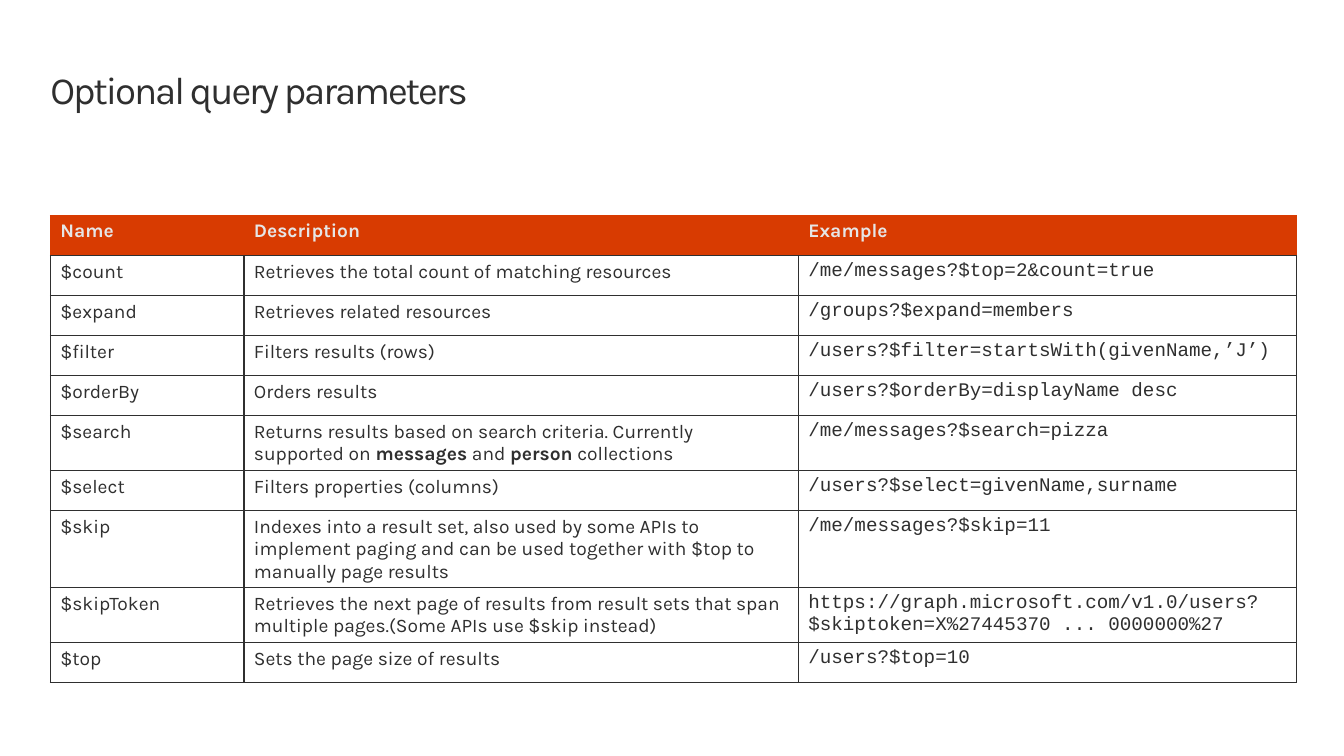
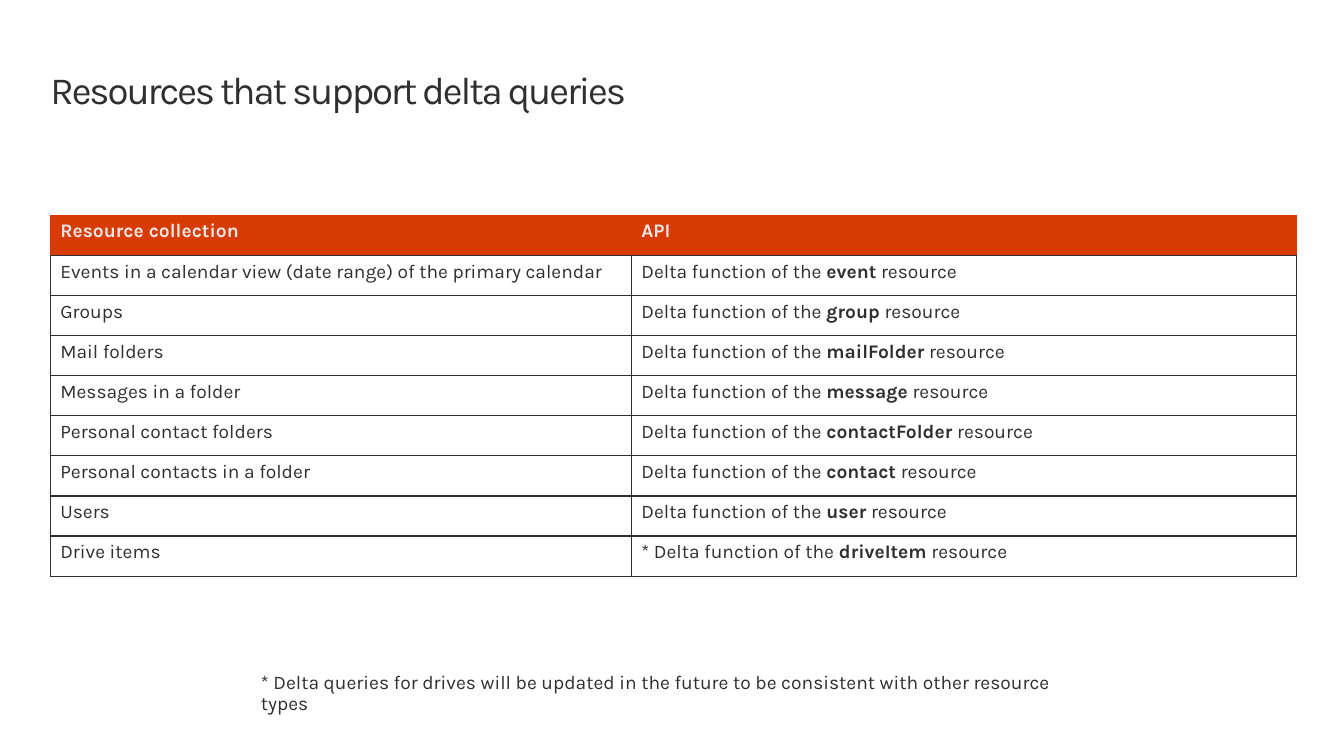
from dataclasses import dataclass
from typing import Any

import lxml.etree
import pptx
import pptx.dml.color
import pptx.enum.text
import pptx.oxml.ns
import pptx.slide
import pptx.table
import pptx.text.text
import pptx.util
from pptx.util import Inches

# Shared look
INK = "2F2F2F"
ACCENT = "D83B01"
HEADER_TEXT = "E6E6E6"
BODY_FONT = "Karla"
CODE_FONT = "Courier New"
LEFT = Inches(0.51)
CONTENT_WIDTH = Inches(12.61)
TITLE_TOP, TITLE_HEIGHT = Inches(0.69), Inches(0.45)
TABLE_TOP = Inches(2.18)
ROW_HEIGHT = Inches(3.65 / 9)
BOLD_MARK = "**"

TITLE_FRAME = {
    "margin_left": 0,
    "margin_top": 0,
    "margin_right": 0,
    "margin_bottom": 0,
    "word_wrap": True,
    "auto_size": pptx.enum.text.MSO_AUTO_SIZE.NONE,
    "vertical_anchor": pptx.enum.text.MSO_ANCHOR.TOP,
}
TITLE_PARAGRAPH = {
    "alignment": pptx.enum.text.PP_ALIGN.LEFT,
    "line_spacing": pptx.util.Pt(32),
}
NOTE_FRAME = {
    "margin_left": Inches(0.2),
    "margin_top": Inches(0.16),
    "margin_right": Inches(0.2),
    "margin_bottom": Inches(0.16),
    "word_wrap": True,
}
NOTE_PARAGRAPH = {"line_spacing": 0.9, "space_after": pptx.util.Pt(6)}


@dataclass(frozen=True)
class Column:
    heading: str
    width: float
    font: str = BODY_FONT


@dataclass(frozen=True)
class TableSlide:
    title: str
    columns: list[Column]
    rows: list[tuple[str, ...]]
    note: str = ""


def color(value: str) -> pptx.dml.color.RGBColor:
    return pptx.dml.color.RGBColor.from_string(value)


def apply_format(target: Any, values: dict[str, Any]) -> None:
    for name, value in values.items():
        setattr(target, name, value)


def add_run(paragraph: Any, text: str, font: str = BODY_FONT, size: float = 14,
            ink: str = INK, bold: bool = False) -> Any:
    run = paragraph.add_run()
    run.text = text
    apply_format(run.font, {"name": font, "size": pptx.util.Pt(size), "bold": bold})
    run.font.color.rgb = color(ink)
    return run


def set_border(cell: Any, side: str, ink: str, width: float) -> None:
    """Draw one side of a cell: L, R, T or B."""
    qualify = pptx.oxml.ns.qn
    line = lxml.etree.SubElement(cell._tc.get_or_add_tcPr(), qualify(f"a:ln{side}"),
                                 w=str(pptx.util.Pt(width)))
    fill = lxml.etree.SubElement(line, qualify("a:solidFill"))
    lxml.etree.SubElement(fill, qualify("a:srgbClr"), val=ink)


def fill_cell(cell: Any, text: str, font: str, is_header: bool) -> None:
    # Borders come before the fill in the cell properties
    for side in "LRTB":
        if is_header and side != "B":
            set_border(cell, side, ACCENT, 0.75)
        else:
            set_border(cell, side, INK, 1)
    if is_header:
        cell.fill.solid()
        cell.fill.fore_color.rgb = color(ACCENT)
    else:
        cell.fill.background()

    frame = cell.text_frame
    for line_index, line in enumerate(text.split("\n")):
        paragraph = frame.add_paragraph() if line_index else frame.paragraphs[0]
        # Every second piece stands between bold marks
        for piece_index, piece in enumerate(line.split(BOLD_MARK)):
            add_run(paragraph, piece, font, ink=HEADER_TEXT if is_header else INK,
                    bold=is_header or piece_index % 2 == 1)


def add_title(slide: pptx.slide.Slide, text: str) -> None:
    title = slide.shapes.title
    apply_format(title, {"left": LEFT, "top": TITLE_TOP,
                         "width": CONTENT_WIDTH, "height": TITLE_HEIGHT})
    apply_format(title.text_frame, TITLE_FRAME)
    paragraph = title.text_frame.paragraphs[0]
    apply_format(paragraph, TITLE_PARAGRAPH)
    run = add_run(paragraph, text, size=28)
    run._r.get_or_add_rPr().set("spc", "-150")


def add_table(slide: pptx.slide.Slide, content: TableSlide) -> None:
    headings = tuple(column.heading for column in content.columns)
    lines = [headings, *content.rows]
    table = slide.shapes.add_table(len(lines), len(headings), LEFT, TABLE_TOP,
                                   CONTENT_WIDTH, ROW_HEIGHT * len(lines)).table
    table.horz_banding = False
    for column_index, column in enumerate(content.columns):
        table.columns[column_index].width = Inches(column.width)
        for row_index, line in enumerate(lines):
            is_header = row_index == 0
            font = BODY_FONT if is_header else column.font
            fill_cell(table.cell(row_index, column_index), line[column_index],
                      font, is_header)


def add_note(slide: pptx.slide.Slide, text: str) -> None:
    box = slide.shapes.add_textbox(Inches(2.44), Inches(6.65), Inches(8.76), Inches(0.68))
    apply_format(box.text_frame, NOTE_FRAME)
    paragraph = box.text_frame.paragraphs[0]
    apply_format(paragraph, NOTE_PARAGRAPH)
    add_run(paragraph, text)


def delta_row(collection: str, resource: str, prefix: str = "") -> tuple[str, str]:
    return collection, f"{prefix}Delta function of the **{resource}** resource"


SLIDES = [
    TableSlide(
        "Optional query parameters",
        [Column("Name", 1.96), Column("Description", 5.61),
         Column("Example", 5.04, CODE_FONT)],
        [
            ("$count", "Retrieves the total count of matching resources",
             "/me/messages?$top=2&count=true"),
            ("$expand", "Retrieves related resources", "/groups?$expand=members"),
            ("$filter", "Filters results (rows)",
             "/users?$filter=startsWith(givenName,’J’)"),
            ("$orderBy", "Orders results", "/users?$orderBy=displayName desc"),
            ("$search",
             "Returns results based on search criteria. Currently supported on "
             "**messages** and **person** collections",
             "/me/messages?$search=pizza"),
            ("$select", "Filters properties (columns)",
             "/users?$select=givenName,surname"),
            ("$skip",
             "Indexes into a result set, also used by some APIs to implement paging "
             "and can be used together with $top to manually page results",
             "/me/messages?$skip=11"),
            ("$skipToken",
             "Retrieves the next page of results from result sets that span "
             "multiple pages.(Some APIs use $skip instead)",
             "https://graph.microsoft.com/v1.0/users?\n"
             "$skiptoken=X%27445370 ... 0000000%27"),
            ("$top", "Sets the page size of results", "/users?$top=10"),
        ],
    ),
    TableSlide(
        "Resources that support delta queries",
        [Column("Resource collection", 5.88), Column("API", 6.73)],
        [
            delta_row("Events in a calendar view (date range) of the primary calendar",
                      "event"),
            delta_row("Groups", "group"),
            delta_row("Mail folders", "mailFolder"),
            delta_row("Messages in a folder", "message"),
            delta_row("Personal contact folders", "contactFolder"),
            delta_row("Personal contacts in a folder", "contact"),
            delta_row("Users", "user"),
            delta_row("Drive items", "driveItem", prefix="* "),
        ],
        "* Delta queries for drives will be updated in the future to be consistent "
        "with other resource types",
    ),
]


def main() -> None:
    presentation = pptx.Presentation()
    presentation.slide_width = Inches(13.6)
    presentation.slide_height = Inches(7.65)
    title_only = presentation.slide_layouts.get_by_name("Title Only")
    for content in SLIDES:
        slide = presentation.slides.add_slide(title_only)
        add_title(slide, content.title)
        add_table(slide, content)
        if content.note:
            add_note(slide, content.note)
    presentation.save("out.pptx")


if __name__ == "__main__":
    main()
